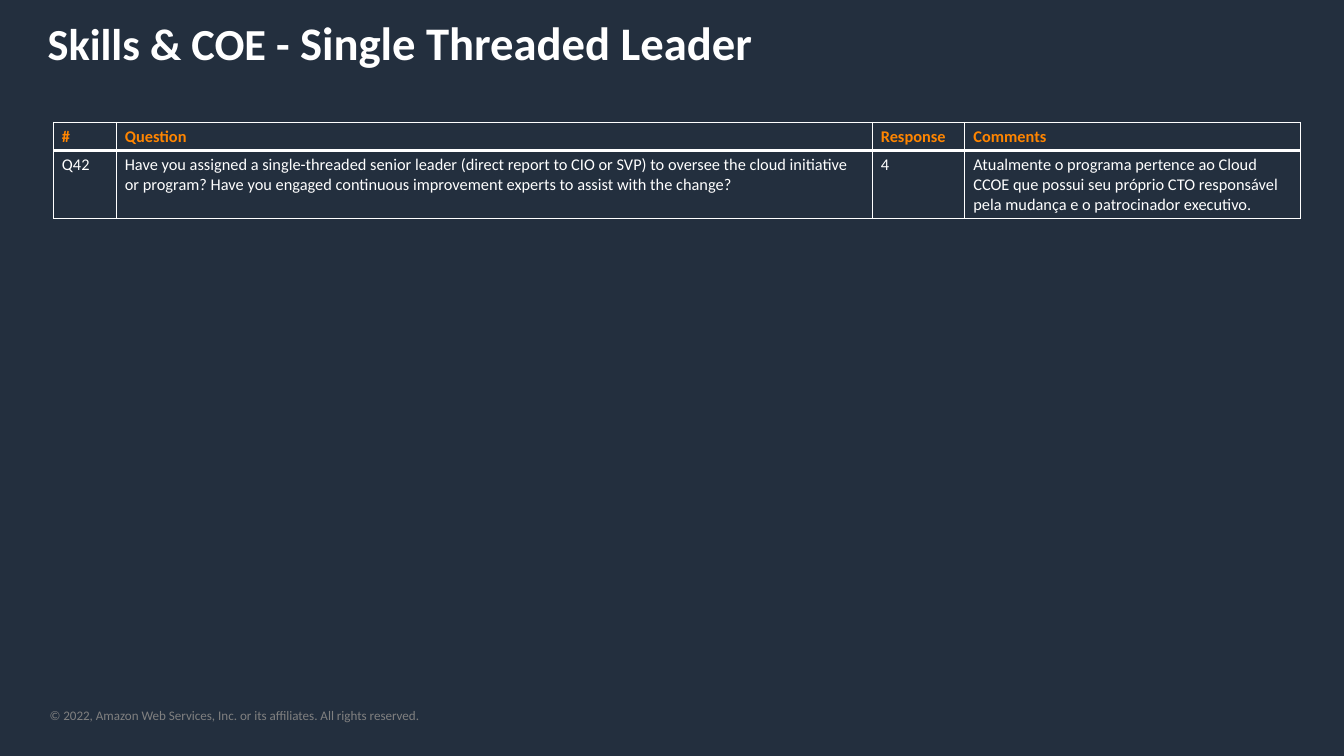
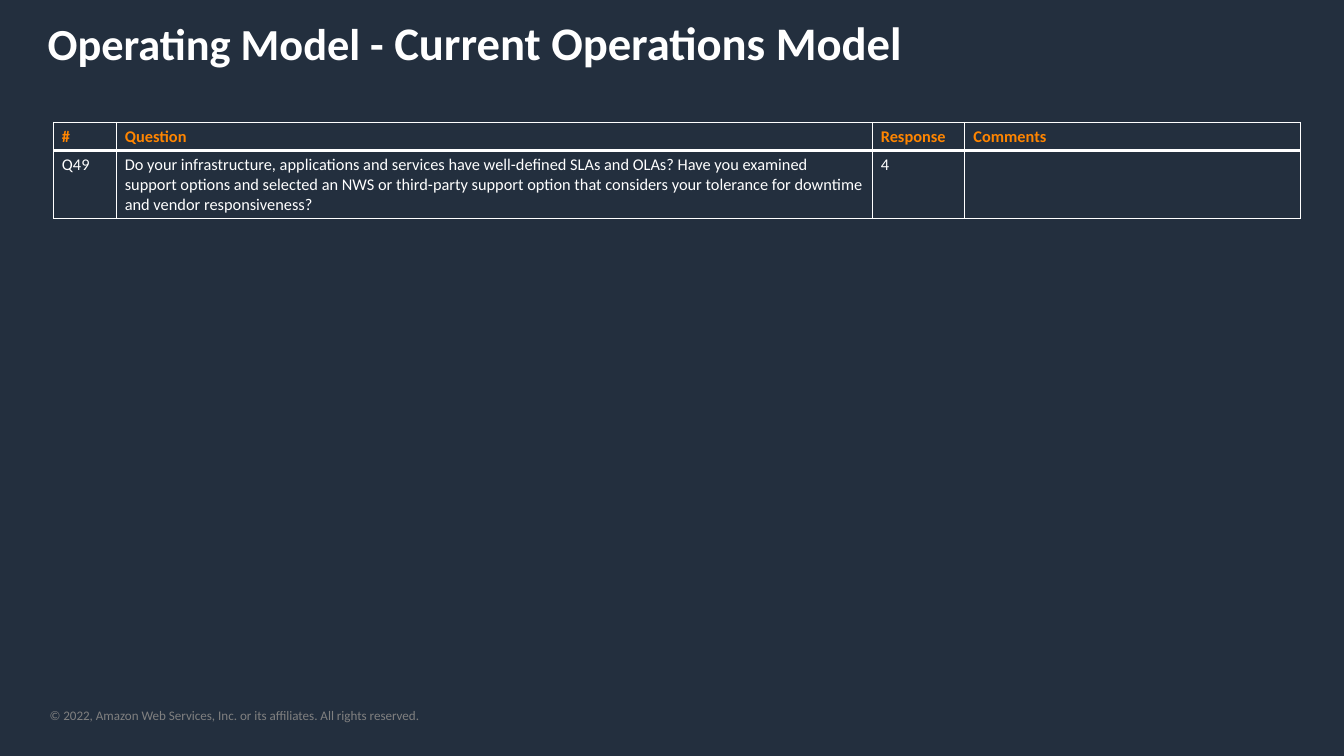
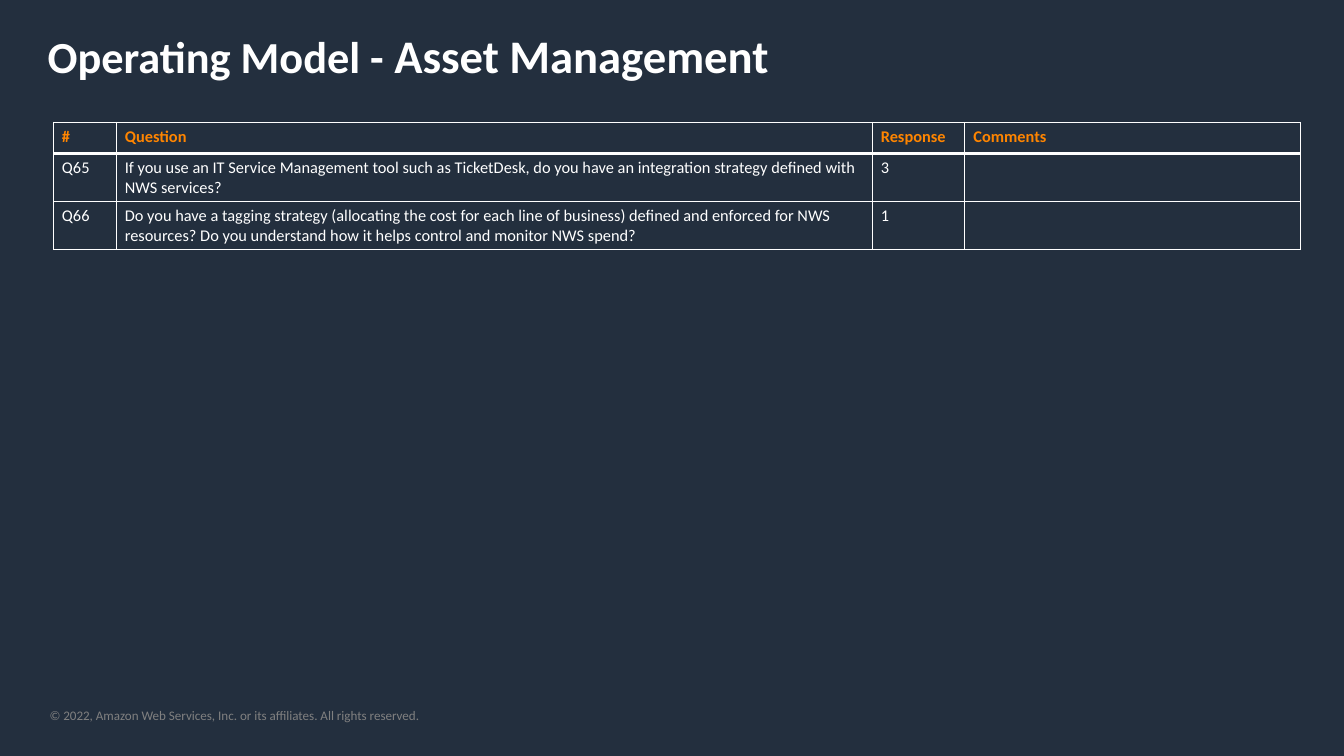
from lxml import etree
from pptx import Presentation
from pptx import util as u
from pptx.dml import color
from pptx.enum import text
from pptx.oxml import ns

COLOURS = {
    "background": "232F3E",
    "text": "FFFFFF",
    "accent": "FF8500",
    "footer": "808080",
}
FONT = "Calibri"
FOOTER = "© 2022, Amazon Web Services, Inc. or its affiliates. All rights reserved."
HEADINGS = ("#", "Question", "Response", "Comments")
COLUMN_WIDTHS = (1.9, 22.86, 2.8, 10.16)
THIN, THICK = 1, 3


def rgb(name):
    return color.RGBColor.from_string(COLOURS[name])


class Deck:
    """Holds the shared style and the slide being built."""

    def __init__(self):
        self.presentation = Presentation()
        self.presentation.slide_width = u.Cm(40.64)
        self.presentation.slide_height = u.Cm(22.86)
        fill = self.presentation.slide_master.background.fill
        fill.solid()
        fill.fore_color.rgb = rgb("background")
        self.slide = None

    def add_slide(self):
        layout = self.presentation.slide_layouts[6]
        self.slide = self.presentation.slides.add_slide(layout)
        self.footer()

    def add_run(self, paragraph, wording, size, colour="text", bold=False):
        run = paragraph.add_run()
        run.text = wording
        run.font.name = FONT
        run.font.size = u.Pt(size)
        run.font.bold = bold
        run.font.color.rgb = rgb(colour)

    def text_box(self, left, top, width, height):
        box = self.slide.shapes.add_textbox(
            u.Cm(left), u.Cm(top), u.Cm(width), u.Cm(height))
        frame = box.text_frame
        frame.word_wrap = True
        frame.auto_size = text.MSO_AUTO_SIZE.SHAPE_TO_FIT_TEXT
        return frame

    def footer(self):
        frame = self.text_box(1.5, 21.39, 19.76, 0.48)
        frame.margin_left = frame.margin_right = 0
        frame.margin_top = frame.margin_bottom = 0
        self.add_run(frame.paragraphs[0], FOOTER, 11.2, "footer")

    def title(self, area, topic, top):
        paragraph = self.text_box(1.19, top, 38.76, 1.96).paragraphs[0]
        self.add_run(paragraph, f"{area} - ", 38, bold=True)
        self.add_run(paragraph, topic, 40, bold=True)

    def borders(self, cell, top, bottom):
        properties = cell._tc.get_or_add_tcPr()
        widths = {"lnL": THIN, "lnR": THIN, "lnT": top, "lnB": bottom}
        for tag, width in widths.items():
            line = etree.SubElement(properties, ns.qn(f"a:{tag}"), w=str(u.Pt(width)))
            fill = etree.SubElement(line, ns.qn("a:solidFill"))
            etree.SubElement(fill, ns.qn("a:srgbClr"), val=COLOURS["text"])

    def question_table(self, questions, header_height, row_height):
        heights = [header_height] + [row_height] * len(questions)
        table = self.slide.shapes.add_table(
            len(heights), len(HEADINGS), u.Cm(1.62), u.Cm(3.7),
            u.Cm(sum(COLUMN_WIDTHS)), u.Cm(sum(heights))).table
        table.first_row = table.horz_banding = False
        for column, width in zip(table.columns, COLUMN_WIDTHS):
            column.width = u.Cm(width)
        for index, values in enumerate([HEADINGS, *questions]):
            table.rows[index].height = u.Cm(heights[index])
            header = index == 0
            for cell, value in zip(table.rows[index].cells, values):
                self.borders(cell, THICK if index == 1 else THIN,
                             THICK if header else THIN)
                cell.fill.background()
                if value:
                    self.add_run(cell.text_frame.paragraphs[0], value, 14,
                                 "accent" if header else "text", header)


def main():
    deck = Deck()

    # Leadership
    deck.add_slide()
    deck.title("Skills & COE", "Single Threaded Leader", 0.28)
    deck.question_table([
        ("Q42",
         "Have you assigned a single-threaded senior leader (direct report to CIO "
         "or SVP) to oversee the cloud initiative or program? Have you engaged "
         "continuous improvement experts to assist with the change?",
         "4",
         "Atualmente o programa pertence ao Cloud CCOE que possui seu próprio CTO "
         "responsável pela mudança e o patrocinador executivo."),
    ], 0.86, 2.03)

    # Operations
    deck.add_slide()
    deck.title("Operating Model", "Current Operations Model", 0.28)
    deck.question_table([
        ("Q49",
         "Do your infrastructure, applications and services have well-defined SLAs "
         "and OLAs? Have you examined support options and selected an NWS or "
         "third-party support option that considers your tolerance for downtime "
         "and vendor responsiveness?",
         "4", ""),
    ], 0.86, 2.03)

    # Assets
    deck.add_slide()
    deck.title("Operating Model", "Asset Management", 0.69)
    deck.question_table([
        ("Q65",
         "If you use an IT Service Management tool such as TicketDesk, do you have "
         "an integration strategy defined with NWS services?",
         "3", ""),
        ("Q66",
         "Do you have a tagging strategy (allocating the cost for each line of "
         "business) defined and enforced for NWS resources? Do you understand how "
         "it helps control and monitor NWS spend?",
         "1", ""),
    ], 0.94, 1.45)

    deck.presentation.save("out.pptx")


if __name__ == "__main__":
    main()
